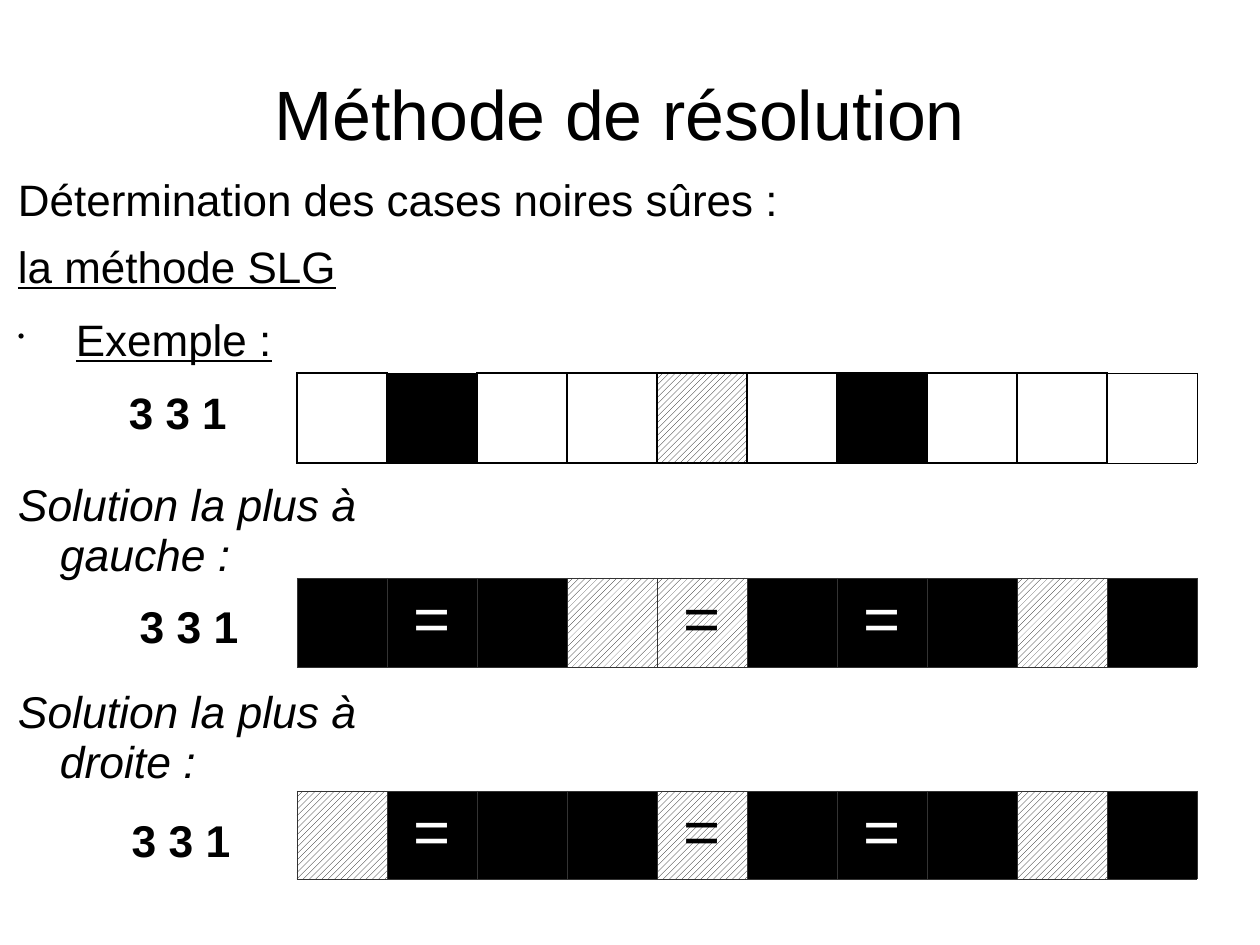
from dataclasses import dataclass

from lxml import etree
from pptx import Presentation
from pptx import util as u
from pptx.dml.color import RGBColor
from pptx.enum import dml, text
from pptx.oxml import ns

PX = 8000  # EMU in one px


@dataclass
class Theme:
    font: str = "Arial"
    black: str = "000000"
    white: str = "FFFFFF"
    grey: str = "333333"
    title: float = 44
    body: float = 27.7
    label: float = 28
    mark: float = 40
    gap: float = 14.1
    thin: float = 0.06
    thick: float = 1.13


def px(n):
    return u.Emu(n * PX)


def rgb(code):
    return RGBColor.from_string(code)


def node(up, tag, **attrs):
    return etree.SubElement(up, ns.qn(tag), attrs)


class Deck:
    def __init__(self, theme, width, height):
        self.theme = theme
        self.prs = Presentation()
        self.prs.slide_width, self.prs.slide_height = px(width), px(height)
        self.slide = self.prs.slides.add_slide(self.prs.slide_layouts[6])

    def box(self, left, top, width, height, inset=4):
        frame = self.slide.shapes.add_textbox(
            px(left), px(top), px(width), px(height)).text_frame
        frame.word_wrap = True
        frame.margin_left = frame.margin_right = frame.margin_bottom = 0
        frame.margin_top = px(inset)
        return frame

    def run(self, para, words, size, color=None, **style):
        run = para.add_run()
        run.text = words
        font = run.font
        font.name, font.size = self.theme.font, u.Pt(size)
        font.color.rgb = rgb(color or self.theme.black)
        for key, value in style.items():
            setattr(font, key, value)

    def line(self, frame, words, size, space, left=42, first=-42, right=0,
             before=0, bullet=False, center=False, **style):
        para = frame.paragraphs[0]
        if para.runs:
            para = frame.add_paragraph()
        para.line_spacing = space
        para.space_before, para.space_after = u.Pt(before), u.Pt(self.theme.gap)
        para.alignment = text.PP_ALIGN.CENTER if center else text.PP_ALIGN.LEFT
        props = para._p.get_or_add_pPr()
        for key, value in (("marL", left), ("marR", right), ("indent", first)):
            props.set(key, str(px(value)))
        if bullet:
            tint = node(props, "a:buClr")
            node(tint, "a:srgbClr", val=self.theme.black)
            node(props, "a:buSzPct", val="45000")
            node(props, "a:buChar", char="•")
        self.run(para, words, size, **style)

    def title(self, words, left, top, width, height):
        frame = self.box(left, top, width, height, inset=0)
        frame.vertical_anchor = text.MSO_ANCHOR.MIDDLE
        para = frame.paragraphs[0]
        para.alignment = text.PP_ALIGN.CENTER
        para.line_spacing = 0.94
        self.run(para, words, self.theme.title)

    def edge(self, cell, color, sides):
        props = cell._tc.get_or_add_tcPr()
        for spot, (side, width) in enumerate(sides.items()):
            rule = etree.Element(ns.qn("a:ln" + side), w=str(u.Pt(width)))
            fill = node(rule, "a:solidFill")
            node(fill, "a:srgbClr", val=color)
            props.insert(spot, rule)

    def paint(self, cell, kind):
        fill = cell.fill
        if kind == "/":
            fill.patterned()
            fill.pattern = dml.MSO_PATTERN.WIDE_UPWARD_DIAGONAL
            fill.fore_color.rgb = rgb(self.theme.black)
            fill.back_color.rgb = rgb(self.theme.white)
        else:
            fill.solid()
            fill.fore_color.rgb = rgb(
                self.theme.black if kind == "#" else self.theme.white)

    def grid(self, top, height, kinds, color, width, marks=(), odd=None):
        """One row of cells: # black, / hatched, . white."""
        side = 90
        table = self.slide.shapes.add_table(
            1, len(kinds), px(297), px(top),
            px(side * len(kinds)), px(height)).table
        table.first_row = table.horz_banding = False
        table.rows[0].height = px(height)
        for col, kind in enumerate(kinds):
            table.columns[col].width = px(side)
            cell = table.cell(0, col)
            self.paint(cell, kind)
            sides = dict.fromkeys("LRTB", width)
            sides.update((odd or {}).get(col, {}))
            self.edge(cell, color, sides)
            if col in marks:
                para = cell.text_frame.paragraphs[0]
                para.alignment = text.PP_ALIGN.CENTER
                ink = self.theme.white if kind == "#" else self.theme.black
                self.run(para, "=", self.theme.mark, ink)


def main():
    theme = Theme()
    deck = Deck(theme, 1260, 945)
    clue = "3 3 1"

    # Title
    deck.title("Méthode de résolution", 53, 38, 1134, 158)

    # Method and example
    intro = deck.box(18, 177, 1152, 273)
    size, space = theme.body, 0.84
    deck.line(intro, "Détermination des cases noires sûres :", size, space)
    deck.line(intro, "la méthode SLG", size, space, underline=True)
    deck.line(intro, "Exemple :", size, space, left=58, first=-58,
              before=4, bullet=True, underline=True)
    deck.line(intro, clue, size, space, left=111, first=0, before=4, bold=True)
    deck.grid(373, 90, ".#../.#...", theme.black, theme.thick,
              odd={1: dict.fromkeys("TB", theme.thin),
                   9: dict.fromkeys("RTB", theme.thin)})

    # Leftmost and rightmost solutions
    for end, top, right, before, row, height, kinds in (
            ("gauche", 477, 0, 0, 578, 89, "###//###/#"),
            ("droite", 684, 16, 4, 791, 88, "/###/###/#")):
        frame = deck.box(18, top, 342, 200)
        deck.line(frame, f"Solution la plus à {end} :", theme.label, 0.94,
                  italic=True)
        deck.line(frame, clue, theme.label, 0.94, right=right, before=before,
                  center=True, bold=True)
        deck.grid(row, height, kinds, theme.grey, theme.thin, marks=(1, 4, 6))

    deck.prs.save("out.pptx")


if __name__ == "__main__":
    main()
